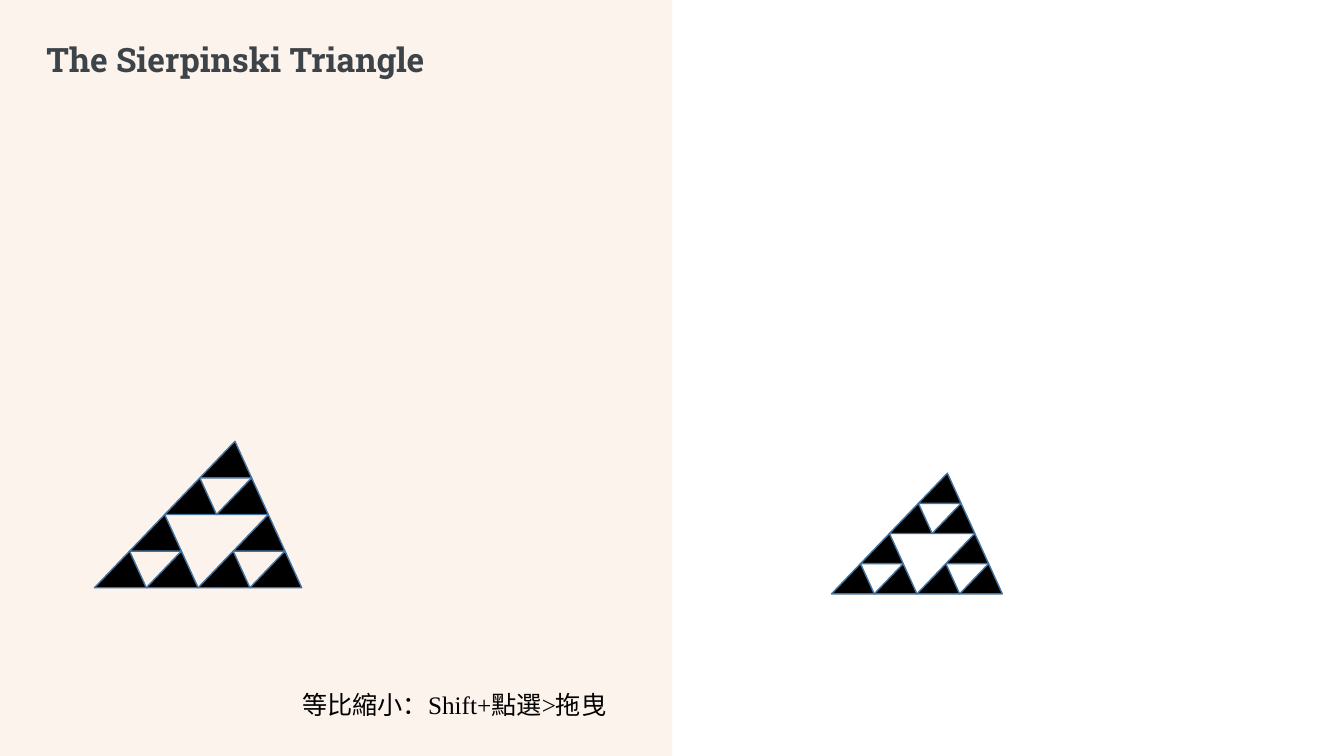
"""Builds the Sierpinski triangle slide."""
from lxml.etree import SubElement
from pptx import Presentation
from pptx.dml.color import RGBColor
from pptx.enum.shapes import MSO_CONNECTOR, MSO_SHAPE
from pptx.enum.text import MSO_ANCHOR, PP_ALIGN
from pptx.oxml.ns import qn
from pptx.util import Pt

PEACH = RGBColor(0xF4, 0xB1, 0x83)
PALE = RGBColor(0xFB, 0xE5, 0xD6)
SLATE = RGBColor(0x3D, 0x44, 0x49)
BLACK = RGBColor(0, 0, 0)
BLUE = RGBColor(0x43, 0x73, 0x9E)


class Painter:
    apex = 0.678
    edge = 1

    def __init__(self, slide):
        self.slide = slide
        self.shapes = slide.shapes

    def fade(self, item, percent):
        color = next(item._element.spPr.iter(qn("a:srgbClr")))
        SubElement(color, qn("a:alpha"), val=str(percent * 1000))

    def panel(self, left, top, width, height, color, percent):
        panel = self.shapes.add_shape(
            MSO_SHAPE.RECTANGLE, Pt(left), Pt(top), Pt(width), Pt(height))
        panel.shadow.inherit = False
        panel.fill.solid()
        panel.fill.fore_color.rgb = color
        panel.line.fill.background()
        self.fade(panel, percent)

    def rule(self, start, end, color, weight, percent):
        rule = self.shapes.add_connector(
            MSO_CONNECTOR.STRAIGHT, *map(Pt, start + end))
        rule.line.color.rgb = color
        rule.line.width = Pt(weight)
        self.fade(rule, percent)
        SubElement(rule._element.spPr, qn("a:effectLst"))

    def text(self, left, top, width, height, words, font, size, color,
             bold=False, align=PP_ALIGN.LEFT, spacing=1.0):
        box = self.shapes.add_textbox(Pt(left), Pt(top), Pt(width), Pt(height))
        frame = box.text_frame
        frame.word_wrap = True
        frame.vertical_anchor = MSO_ANCHOR.MIDDLE
        line = frame.paragraphs[0]
        line.text = words
        line.alignment = align
        line.line_spacing = spacing
        line.font.name = font
        line.font.size = Pt(size)
        line.font.bold = bold
        line.font.color.rgb = color

    def triangle(self, shapes, left, top, width, height):
        piece = shapes.add_shape(MSO_SHAPE.ISOSCELES_TRIANGLE,
                                 Pt(left), Pt(top), Pt(width), Pt(height))
        piece.adjustments[0] = self.apex
        piece.shadow.inherit = False
        piece.fill.solid()
        piece.fill.fore_color.rgb = BLACK
        piece.line.color.rgb = BLUE
        piece.line.width = Pt(self.edge)

    def fractal(self, shapes, left, top, width, height, depth):
        if depth == 0:
            self.triangle(shapes, left, top, width, height)
            return
        half, rise = width / 2, height / 2
        for across, down in ((0, 1), (self.apex / 2, 0), (0.5, 1)):
            self.fractal(shapes, left + across * width, top + down * rise,
                         half, rise, depth - 1)

    def sierpinski(self, left, top, width, height):
        group = self.shapes.add_group_shape()
        self.fractal(group.shapes, left, top, width, height, 2)


def main():
    deck = Presentation()
    deck.slide_width, deck.slide_height = Pt(960), Pt(540)
    paint = Painter(deck.slides.add_slide(deck.slide_layouts[6]))
    paint.panel(0, 0, 480, 540, PEACH, 14)
    paint.rule((480, 540), (480, 0), PALE, 0.25, 50)
    paint.text(26, 28.5, 428.5, 31.5, "The Sierpinski Triangle",
               "Roboto Slab", 24, SLATE, bold=True, spacing=0.9)
    paint.text(204, 489.5, 241, 28, "等比縮小：Shift+點選>拖曳",
               "Times New Roman", 18, BLACK, align=PP_ALIGN.CENTER)
    paint.sierpinski(67.5, 315.2, 148, 104.6)
    paint.sierpinski(594, 338, 122, 86.2)
    deck.save("out.pptx")


if __name__ == "__main__":
    main()
